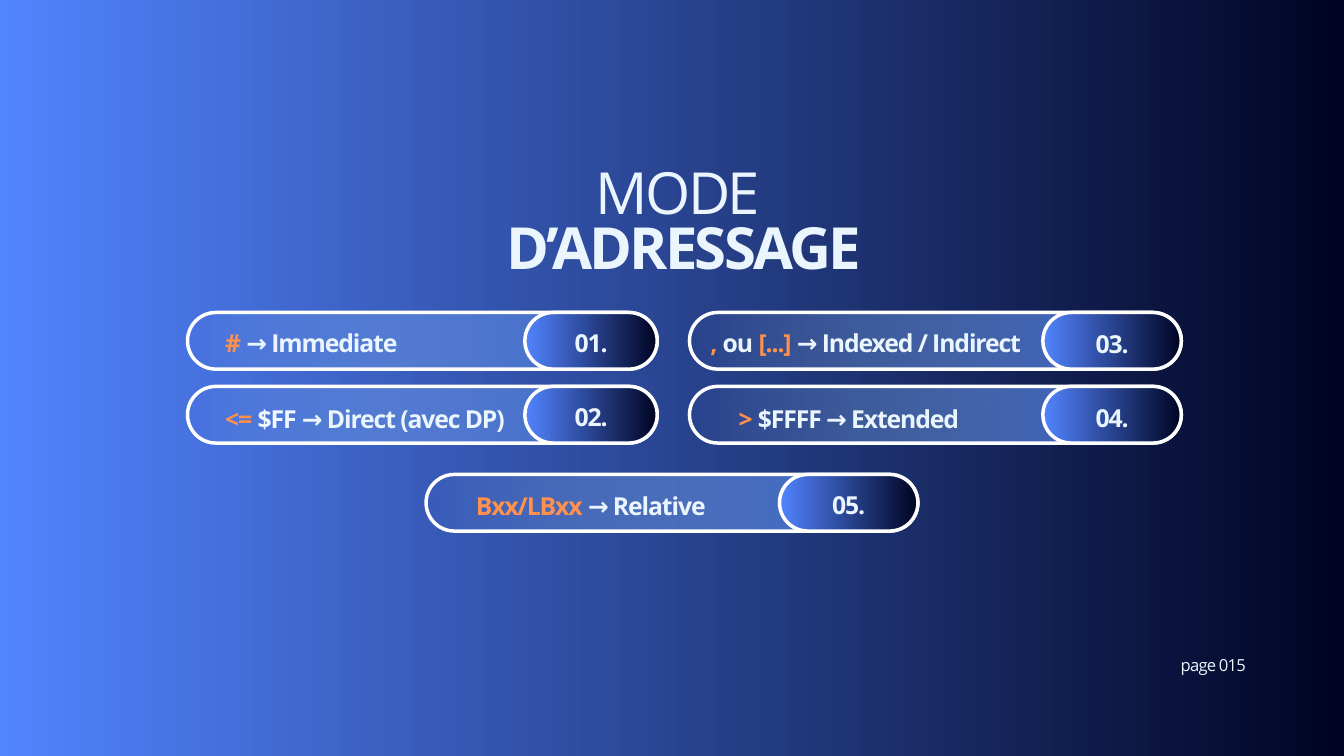
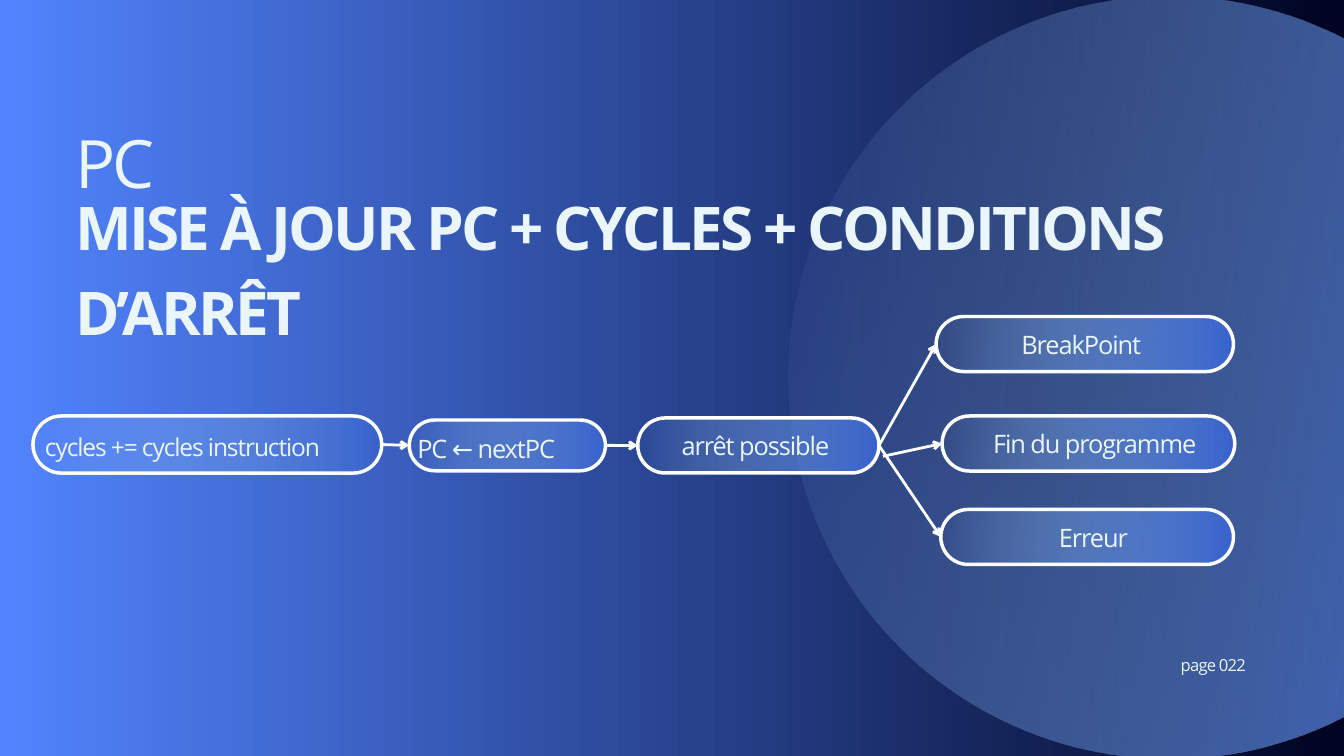
from lxml import etree
from pptx import Presentation
from pptx import util as u
from pptx.dml.color import RGBColor
from pptx.enum import shapes, text
from pptx.oxml import ns

COLOURS = {
    "bright": "5284FF",
    "night": "000422",
    "mist": "9FCDFF",
    "blue": "3964CD",
    "pale": "EBF5FE",
    "ice": "F0F7FE",
    "orange": "FF914D",
    "white": "FFFFFF",
}
FADE = ("mist", "blue")
DEEP = ("bright", "night")
LEFT, CENTER = text.PP_ALIGN.LEFT, text.PP_ALIGN.CENTER
ROUND, OVAL = shapes.MSO_SHAPE.ROUNDED_RECTANGLE, shapes.MSO_SHAPE.OVAL


def add_text(slide, box, runs, size, line_height, spacing, bold=False, align=LEFT):
    shape = slide.shapes.add_textbox(*map(u.Pt, box))
    frame = shape.text_frame
    frame_format = {"word_wrap": True, "margin_left": 0, "margin_right": 0,
                    "margin_top": 0, "margin_bottom": 0}
    for name, value in frame_format.items():
        setattr(frame, name, value)
    paragraph = frame.paragraphs[0]
    paragraph.alignment = align
    paragraph.line_spacing = u.Pt(line_height)
    for words, colour in runs:
        run = paragraph.add_run()
        run.text = words
        run_format = {"name": "Open Sans", "size": u.Pt(size), "bold": bold}
        for name, value in run_format.items():
            setattr(run.font, name, value)
        run.font.color.rgb = RGBColor.from_string(COLOURS[colour])
        run._r.get_or_add_rPr().set("spc", str(round(spacing * 100)))


def add_gradient_shape(slide, kind, box, gradient):
    shape = slide.shapes.add_shape(kind, *map(u.Pt, box))
    shape.shadow.inherit = False
    shape.fill.gradient()
    shape.fill.gradient_angle = 0
    for stop, colour in zip(shape.fill.gradient_stops, gradient):
        stop.color.rgb = RGBColor.from_string(COLOURS[colour])
    if gradient == FADE:
        first = shape._element.spPr.find(".//" + ns.qn("a:srgbClr"))
        etree.SubElement(first, ns.qn("a:alpha")).set("val", "0")
    if kind == OVAL:
        shape.line.fill.background()
    else:
        shape.adjustments[0] = 0.5
        shape.line.color.rgb = RGBColor.from_string(COLOURS["white"])
        shape.line.width = u.Pt(3.75)
    return shape


presentation = Presentation()
presentation.slide_width = u.Pt(1440)
presentation.slide_height = u.Pt(810)

slides = []
for page in ("page 015", "page 022"):
    slide = presentation.slides.add_slide(presentation.slide_layouts[6])
    background = slide.background.fill
    background.gradient()
    background.gradient_angle = 0
    for stop, colour in zip(background.gradient_stops, DEEP):
        stop.color.rgb = RGBColor.from_string(COLOURS[colour])
    if page == "page 022":
        circle = add_gradient_shape(slide, OVAL, (845.3, -3.6, 816.5, 816.5), FADE)
        circle.rotation = 9.1
    add_text(slide, (1265, 697.7, 93.6, 24), [(page, "pale")], 17.8, 24.9, -0.8)
    slides.append(slide)
modes_slide, update_slide = slides

for words, box, bold in (
    (" MODE ", (544.3, 154.8, 364.3, 84.2), False),
    ("D’ADRESSAGE", (475.2, 214.6, 514.8, 84.2), True),
):
    add_text(modes_slide, box, [(words, "pale")], 62.2, 87, -2.9, bold, CENTER)

PILL_HEIGHT = 60.7
ROW_TOPS = (334.8, 414, 508.3)
NARROW, WIDE = (503.3, 141.8), (527, 148.3)
modes = [
    (200.9, 0, NARROW, 11, (241.2, 345.6, 327.6),
     [("# ", "orange"), ("→ Immediate", "pale")]),
    (200.9, 1, NARROW, 11, (241.2, 427, 327.6),
     [("<= ", "orange"), ("$FF", "ice"), (" → Direct (avec DP)", "pale")]),
    (738.7, 0, WIDE, 12.2, (761, 345.6, 375.1),
     [(", ", "orange"), ("ou ", "pale"), ("[...]", "orange"),
      (" → Indexed / Indirect", "pale")]),
    (738.7, 1, WIDE, 12.2, (791.3, 427, 316.8),
     [(">", "orange"), (" $FFFF → Extended", "pale")]),
    (456.5, 2, WIDE, 11, (509.8, 520.6, 316.8),
     [("Bxx/LBxx", "orange"), (" → Relative", "pale")]),
]
for number, (left, row, widths, drop, label, runs) in enumerate(modes, 1):
    top = ROW_TOPS[row]
    pill_width, badge_width = widths
    badge_left = left + pill_width - badge_width
    add_gradient_shape(modes_slide, ROUND, (left, top, pill_width, PILL_HEIGHT), FADE)
    add_gradient_shape(modes_slide, ROUND, (badge_left, top, badge_width, PILL_HEIGHT), DEEP)
    add_text(modes_slide, (badge_left + badge_width / 4, top + drop, badge_width / 2, 35),
             [(f"{number:02}.", "pale")], 26.5, 37.1, -1.2, True, CENTER)
    add_text(modes_slide, (*label, 35), runs, 26.5, 37.1, -1.2, True)

add_text(update_slide, (80.6, 115.9, 1359.4, 95.8), [("PC", "pale")], 71.5, 100.1, -3.3)
add_text(update_slide, (80.6, 191.5, 1317.6, 177.1),
         [("MISE À JOUR PC + CYCLES + CONDITIONS D’ARRÊT", "pale")], 64.5, 90.3, -3, True)

steps = {
    "cycles += cycles instruction":
        ((35.3, 445.7, 373.7, 61.2), (48.2, 457.9, 348.5, 34.6), 26.3, LEFT),
    "PC ← nextPC":
        ((438.5, 450, 210.2, 54.4), (447.1, 458.6, 190.8, 34.6), 27.2, LEFT),
    "arrêt possible":
        ((683.3, 447.8, 258.5, 59), (697, 455.8, 224.6, 34.6), 27.2, CENTER),
    "BreakPoint":
        ((1003, 339.1, 318.6, 59), (1020.2, 347, 276.5, 34.6), 27.2, CENTER),
    "Fin du programme":
        ((1009.4, 445.7, 313.6, 59), (1026.7, 452.9, 292.3, 36), 27.2, CENTER),
    "Erreur":
        ((1008, 545.8, 313.6, 59), (1025.3, 553.7, 292.3, 34.6), 27.2, CENTER),
}
pills = {}
for words, (pill_box, text_box, size, align) in steps.items():
    pills[words] = add_gradient_shape(update_slide, ROUND, pill_box, FADE)
    add_text(update_slide, text_box, [(words, "pale")], size, size * 1.4, -1.2, False, align)

cycles, next_pc, stop_check, *outcomes = pills.values()
arrows = [(cycles, next_pc), (next_pc, stop_check)]
arrows += [(stop_check, outcome) for outcome in outcomes]
for source, target in arrows:
    connector = update_slide.shapes.add_connector(
        shapes.MSO_CONNECTOR.STRAIGHT, u.Pt(946), u.Pt(488.9), u.Pt(1009.4), u.Pt(475.2))
    if target is not pills["Fin du programme"]:
        connector.begin_connect(source, 3)
    connector.end_connect(target, 1)
    connector.line.color.rgb = RGBColor.from_string(COLOURS["white"])
    connector.line.width = u.Pt(3)
    etree.SubElement(connector.line._get_or_add_ln(), ns.qn("a:tailEnd")).set("type", "arrow")
    etree.SubElement(connector._element.spPr, ns.qn("a:effectLst"))

presentation.save("out.pptx")
